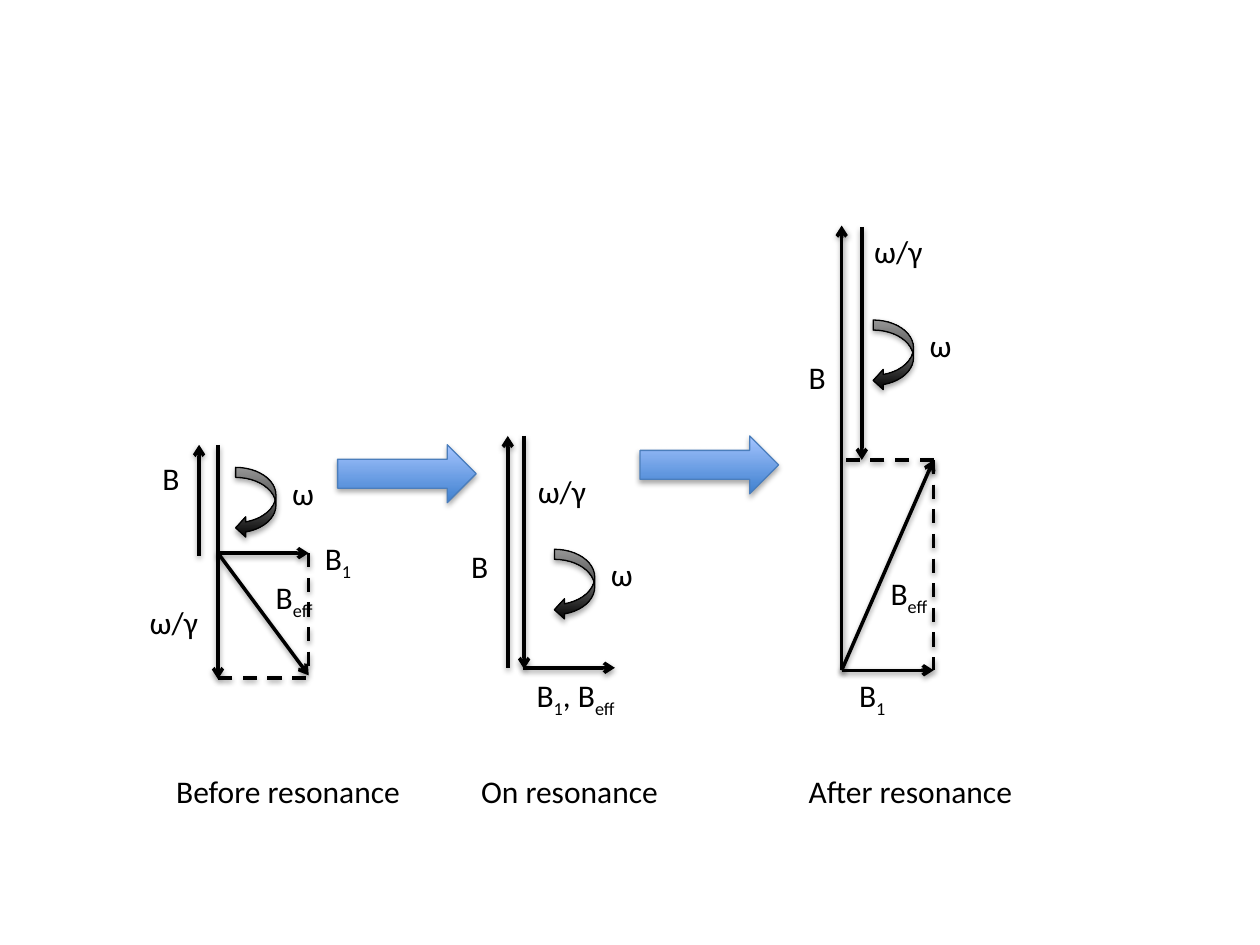
from dataclasses import dataclass

from lxml import etree
from pptx import Presentation
from pptx.dml.color import RGBColor
from pptx.enum.dml import MSO_LINE
from pptx.enum.shapes import MSO_CONNECTOR, MSO_SHAPE
from pptx.enum.text import MSO_AUTO_SIZE
from pptx.oxml.ns import qn
from pptx.util import Inches, Pt

STRAIGHT = MSO_CONNECTOR.STRAIGHT
DASH = MSO_LINE.DASH
RIGHT_ARROW = MSO_SHAPE.RIGHT_ARROW
CURVED_ARROW = MSO_SHAPE.CURVED_LEFT_ARROW
FIT_SHAPE = MSO_AUTO_SIZE.SHAPE_TO_FIT_TEXT

BLACK = "000000"
FONT = "Calibri"
B_WIDTH, RATIO_WIDTH, OMEGA_WIDTH = 0.45, 0.8, 0.25
B1_WIDTH, BEFF_WIDTH = 0.69, 0.87
CAPTION_TOP = 6.08


def color(value):
    return RGBColor.from_string(value)


def add_shadow(shape, distance, opacity):
    """Put a soft black shadow straight below the shape."""
    effects = etree.SubElement(shape._element.spPr, qn("a:effectLst"))
    outer = etree.SubElement(effects, qn("a:outerShdw"), blurRad=str(Pt(3.15)),
                             dist=str(Pt(distance)), dir="5400000", rotWithShape="0")
    black = etree.SubElement(outer, qn("a:srgbClr"), val=BLACK)
    etree.SubElement(black, qn("a:alpha"), val=str(opacity * 1000))


def add_gradient_shape(page, kind, box, bottom, top, outline):
    shape = page.shapes.add_shape(kind, *map(Inches, box))
    shape.fill.gradient()
    shape.fill.gradient_angle = 90
    for stop, value in zip(shape.fill.gradient_stops, (bottom, top)):
        stop.color.rgb = color(value)
    shape.line.color.rgb = color(outline)
    shape.line.width = Pt(0.75)
    add_shadow(shape, 1.8, 35)


def add_step_arrow(page, left, top):
    add_gradient_shape(page, RIGHT_ARROW, (left, top, 1.1, 0.46),
                       "3F80CE", "A4C4FF", "4B7EBC")


@dataclass
class Diagram:
    """A vector diagram whose parts are placed relative to its corner."""
    page: object
    left: float
    top: float

    def line(self, start, end, dashed=False):
        """Draw a vector, or a dashed helper line without a head."""
        points = [Inches(value) for x, y in (start, end)
                  for value in (self.left + x, self.top + y)]
        connector = self.page.shapes.add_connector(STRAIGHT, *points)
        connector.line.color.rgb = color(BLACK)
        connector.line.width = Pt(2)
        if dashed:
            connector.line.dash_style = DASH
        else:
            etree.SubElement(connector.line._get_or_add_ln(), qn("a:tailEnd"), type="arrow")
        add_shadow(connector, 1.6, 38)

    def label(self, x, y, width, *parts, height=0.4):
        """Write the parts as runs, every second one a subscript."""
        box = self.page.shapes.add_textbox(Inches(self.left + x), Inches(self.top + y),
                                           Inches(width), Inches(height))
        frame = box.text_frame
        frame.word_wrap = True
        frame.auto_size = FIT_SHAPE
        para = frame.paragraphs[0]
        for index, part in enumerate(parts):
            span = para.add_run()
            span.text = part
            span.font.name = FONT
            span.font.size = Pt(18)
            span.font.color.rgb = color(BLACK)
            if index % 2:
                span.font._element.set("baseline", "-25000")

    def caption(self, x, width, text, height=0.4):
        self.label(x, CAPTION_TOP - self.top, width, text, height=height)

    def rotation(self, x, y):
        """Draw the curved arrow with its ω."""
        add_gradient_shape(self.page, CURVED_ARROW,
                           (self.left + x, self.top + y, 0.32, 0.56),
                           BLACK, "BDBDBD", BLACK)
        self.label(x + 0.35, y, OMEGA_WIDTH, "ω")


def draw_before(page, left, top):
    diagram = Diagram(page, left, top)
    origin, b1_tip, corner = (0.64, 0.86), (1.36, 0.86), (1.36, 1.83)
    diagram.line(origin, b1_tip)
    diagram.line((0.64, 0), (0.64, 1.86))
    diagram.line((0.49, 0.88), (0.49, 0))
    diagram.rotation(0.78, 0.18)
    diagram.line(origin, corner)
    diagram.line(b1_tip, corner, dashed=True)
    diagram.line((1.34, 1.85), (0.62, 1.85), dashed=True)
    diagram.label(0, 1.21, RATIO_WIDTH, "ω/γ")
    diagram.label(0.1, 0.06, B_WIDTH, "B")
    diagram.label(1, 1.01, BEFF_WIDTH, "B", "eff")
    diagram.label(1.39, 0.7, B1_WIDTH, "B", "1")
    diagram.caption(0.21, 2.59, "Before resonance", height=0.71)


def draw_on(page, left, top):
    diagram = Diagram(page, left, top)
    diagram.line((0.39, 1.84), (0.39, 0))
    diagram.line((0.52, 0), (0.52, 1.85))
    diagram.line((0.51, 1.84), (1.24, 1.84))
    diagram.rotation(0.76, 0.9)
    diagram.label(0.52, 1.86, 0.89, "B", "1", ", B", "eff")
    diagram.label(0.53, 0.24, RATIO_WIDTH, "ω/γ")
    diagram.label(0, 0.83, B_WIDTH, "B")
    diagram.caption(0.08, 1.74, "On resonance")


def draw_after(page, left, top):
    diagram = Diagram(page, left, top)
    origin, b1_tip, corner = (0.36, 3.53), (1.09, 3.53), (1.09, 1.86)
    for tip in ((0.36, 0), b1_tip, corner):
        diagram.line(origin, tip)
    for end in ((0.36, 1.86), b1_tip):
        diagram.line(corner, end, dashed=True)
    diagram.line((0.52, 0.01), (0.52, 1.86))
    diagram.rotation(0.61, 0.75)
    diagram.label(0, 1, B_WIDTH, "B")
    diagram.label(0.65, 2.72, BEFF_WIDTH, "B", "eff")
    diagram.label(0.52, 0, RATIO_WIDTH, "ω/γ")
    diagram.label(0.4, 3.53, B1_WIDTH, "B", "1")
    diagram.caption(0, 1.97, "After resonance")


def main():
    deck = Presentation()
    deck.slide_width, deck.slide_height = Inches(10), Inches(7.5)
    page = deck.slides.add_slide(deck.slide_layouts[6])
    draw_after(page, 6.32, 1.79)
    add_step_arrow(page, 5.08, 3.46)
    draw_on(page, 3.64, 3.46)
    draw_before(page, 1.09, 3.53)
    add_step_arrow(page, 2.68, 3.53)
    deck.save("out.pptx")


if __name__ == "__main__":
    main()
